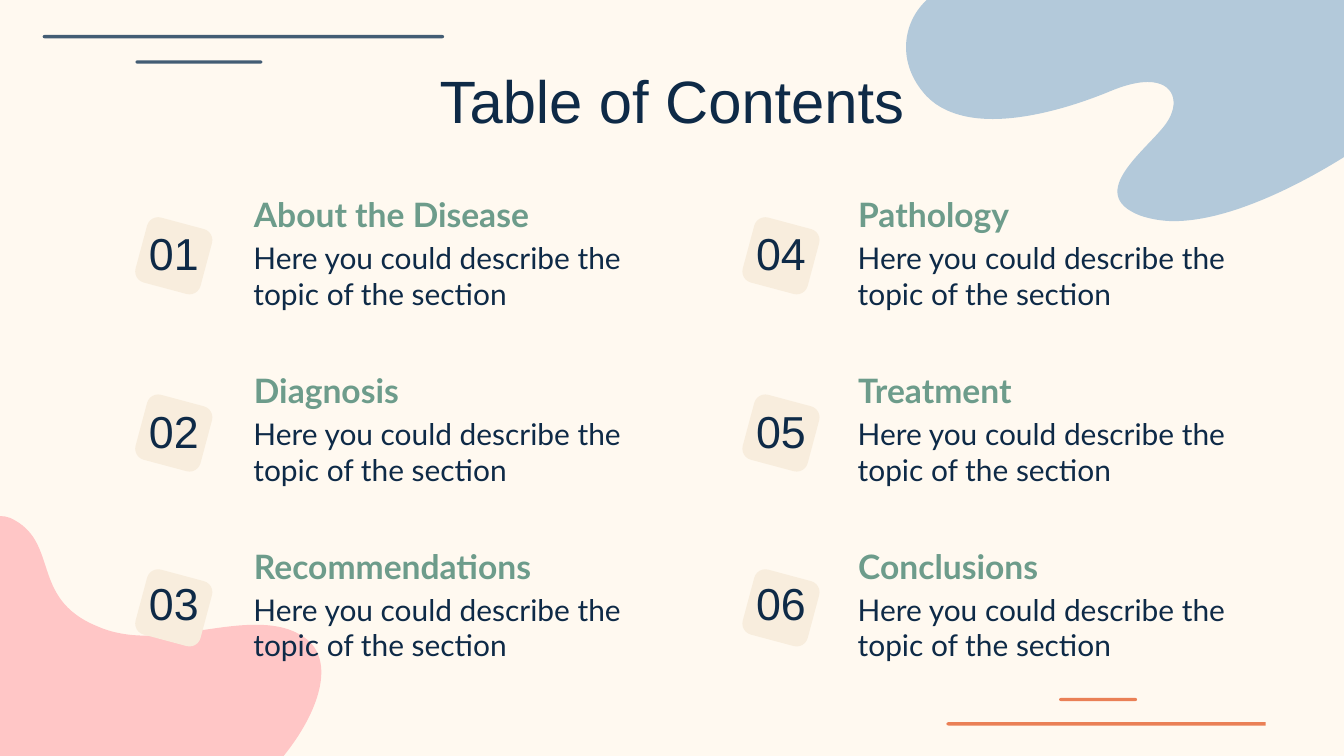
from lxml.etree import SubElement
from pptx import Presentation
from pptx.dml.color import RGBColor
from pptx.enum.shapes import MSO_SHAPE
from pptx.enum.text import MSO_ANCHOR, PP_ALIGN
from pptx.oxml.ns import qn
from pptx.util import Cm, Pt

COLORS = {
    "cream": "FFF9F0",
    "blue": "B3C9DA",
    "pink": "FFC6C6",
    "orange": "EA8056",
    "slate": "435D74",
    "beige": "F8EDDD",
    "navy": "0E2A47",
    "green": "6D9C8B",
}
SLIDE_WIDTH, SLIDE_HEIGHT = 50.8, 28.58

# Outlines in cm: a pair is a corner, six numbers are a Bezier curve.
BLUE_BLOB = [
    (44.37, 8.36),
    (46.3, 8.36, 48.79, 7.19, 50.8, 5.94),
    (50.8, 0),
    (35.03, 0),
    (34.11, 0.84, 33.88, 2.39, 35, 3.61),
    (35.59, 4.24, 36.5, 4.5, 37.52, 4.5),
    (39.01, 4.5, 40.74, 3.96, 42.01, 3.43),
    (42.57, 3.2, 43.03, 3.1, 43.38, 3.1),
    (44.4, 3.1, 44.6, 3.91, 44.09, 4.65),
    (43.43, 5.61, 40.94, 7.32, 43.1, 8.15),
    (43.48, 8.28, 43.92, 8.36, 44.37, 8.36),
]
PINK_BLOB = [
    (10.72, 28.58),
    (12.04, 26.95, 12.75, 24.94, 11.48, 24.08),
    (10.95, 23.72, 10.34, 23.62, 9.65, 23.62),
    (8.38, 23.62, 6.91, 24.03, 5.51, 24.03),
    (4.88, 24.03, 4.24, 23.93, 3.66, 23.67),
    (1.09, 22.61, 2.29, 20.45, 0.38, 19.58),
    (0.25, 19.53, 0.13, 19.51, 0, 19.51),
    (0, 28.58),
]

# Left, top, width, colour, whether the right end is round
ACCENT_BARS = [
    (35.77, 27.3, 12.07, "orange", False),
    (40.03, 26.38, 2.95, "orange", True),
    (1.61, 1.32, 15.18, "slate", True),
    (5.12, 2.28, 4.8, "slate", True),
]
BAR_HEIGHT, BAR_CAP = 0.13, 0.08

TOPICS = [
    "About the Disease", "Diagnosis", "Recommendations",
    "Pathology", "Treatment", "Conclusions",
]
DESCRIPTION = "Here you could describe the topic of the section"
COLUMNS = [(5.3, 9.07), (28.25, 31.91)]  # badge left, text left
ROWS = [(8.4, 8.57), (15.1, 15.3), (21.71, 21.82)]  # badge top, number top
FIRST_HEADING_TOP, ROW_STEP = 6.83, 6.64


def rgb(color):
    return RGBColor.from_string(COLORS[color])


def paint(shape, color):
    shape.shadow.inherit = False
    shape.fill.solid()
    shape.fill.fore_color.rgb = rgb(color)
    shape.line.fill.background()


def add_outline(slide, outline, color):
    """Draw a closed outline; three-point segments become Bezier curves."""
    start, *segments = outline
    points = [(Cm(x), Cm(y)) for segment in segments
              for x, y in zip(segment[::2], segment[1::2])]
    builder = slide.shapes.build_freeform(Cm(start[0]), Cm(start[1]))
    builder.add_line_segments(points, close=True)
    shape = builder.convert_to_shape()

    steps = iter(list(shape.element.iter(qn("a:lnTo"))))
    for segment in segments:
        step = next(steps)
        if len(segment) == 6:
            curve = SubElement(step.getparent(), qn("a:cubicBezTo"))
            step.addprevious(curve)
            for control in (step, next(steps), next(steps)):
                curve.append(control[0])
                control.getparent().remove(control)
    paint(shape, color)


def add_bar(slide, left, top, width, color, round_end):
    middle, bottom = top + BAR_HEIGHT / 2, top + BAR_HEIGHT
    right = left + width
    inner_left, inner_right = left + BAR_CAP, right - BAR_CAP
    bend_left, bend_right = left + BAR_CAP / 2, right - BAR_CAP / 2
    outline = [
        (inner_left, top),
        (bend_left, top, left, top + 0.03, left, middle),
        (left, bottom - 0.03, bend_left, bottom, inner_left, bottom),
    ]
    if round_end:
        outline += [
            (inner_right, bottom),
            (bend_right, bottom, right, bottom - 0.03, right, middle),
            (right, top + 0.03, bend_right, top, inner_right, top),
        ]
    else:
        outline += [(right, bottom), (right, top)]
    add_outline(slide, outline, color)


def add_badge(slide, left, top):
    badge = slide.shapes.add_shape(
        MSO_SHAPE.ROUNDED_RECTANGLE, Cm(left), Cm(top), Cm(2.54), Cm(2.54))
    badge.adjustments[0] = 0.17
    badge.rotation = 15
    paint(badge, "beige")


def add_text(slide, text, left, top, width, height, size, font="Lato",
             color="navy", bold=False):
    box = slide.shapes.add_textbox(Cm(left), Cm(top), Cm(width), Cm(height))
    frame = box.text_frame
    frame.word_wrap = True
    frame.margin_left = frame.margin_right = Cm(0.51)
    frame.margin_top = frame.margin_bottom = Cm(0.51)
    frame.text = text
    run_font = frame.paragraphs[0].runs[0].font
    run_font.name = font
    run_font.size = Pt(size)
    run_font.bold = bold
    run_font.color.rgb = rgb(color)
    return frame


def add_display_text(slide, text, left, top, width, height, size):
    """Add centred, tightly spaced text in the title font."""
    frame = add_text(slide, text, left, top, width, height, size, font="Arial")
    frame.paragraphs[0].alignment = PP_ALIGN.CENTER
    frame.paragraphs[0].line_spacing = 0.8
    return frame


def add_topic(slide, index, topic):
    column, row = divmod(index, len(ROWS))
    badge_left, text_left = COLUMNS[column]
    number_top = ROWS[row][1]
    heading_top = FIRST_HEADING_TOP + row * ROW_STEP

    number = add_display_text(slide, f"{index + 1:02}", badge_left - 0.48,
                              number_top, 3.5, 2.34, 48)
    number.vertical_anchor = MSO_ANCHOR.MIDDLE
    add_text(slide, topic, text_left + 0.02, heading_top, 15.2, 2.18, 36,
             color="green", bold=True)
    add_text(slide, DESCRIPTION, text_left, heading_top + 1.73, 15.2, 3.18, 32)


def main():
    presentation = Presentation()
    presentation.slide_width = Cm(SLIDE_WIDTH)
    presentation.slide_height = Cm(SLIDE_HEIGHT)
    slide = presentation.slides.add_slide(presentation.slide_layouts[6])
    slide.background.fill.solid()
    slide.background.fill.fore_color.rgb = rgb("cream")

    add_outline(slide, BLUE_BLOB, "blue")
    add_outline(slide, PINK_BLOB, "pink")
    for bar in ACCENT_BARS:
        add_bar(slide, *bar)
    for badge_left, _ in COLUMNS:
        for badge_top, _ in ROWS:
            add_badge(slide, badge_left, badge_top)

    add_display_text(slide, "Table of Contents", 3.99, 2.44, 42.82, 3.18, 64)
    for index, topic in enumerate(TOPICS):
        add_topic(slide, index, topic)

    presentation.save("out.pptx")


if __name__ == "__main__":
    main()
